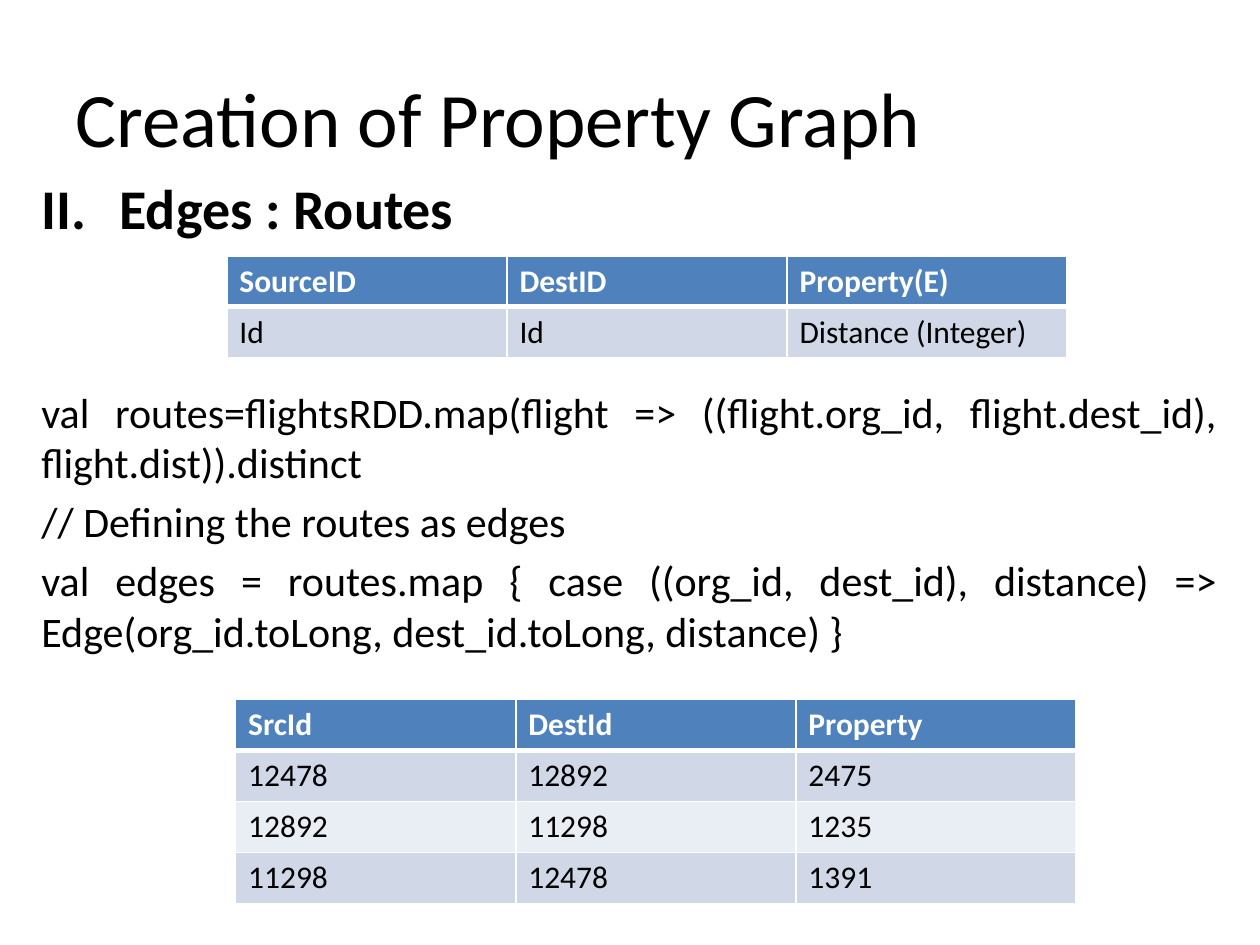
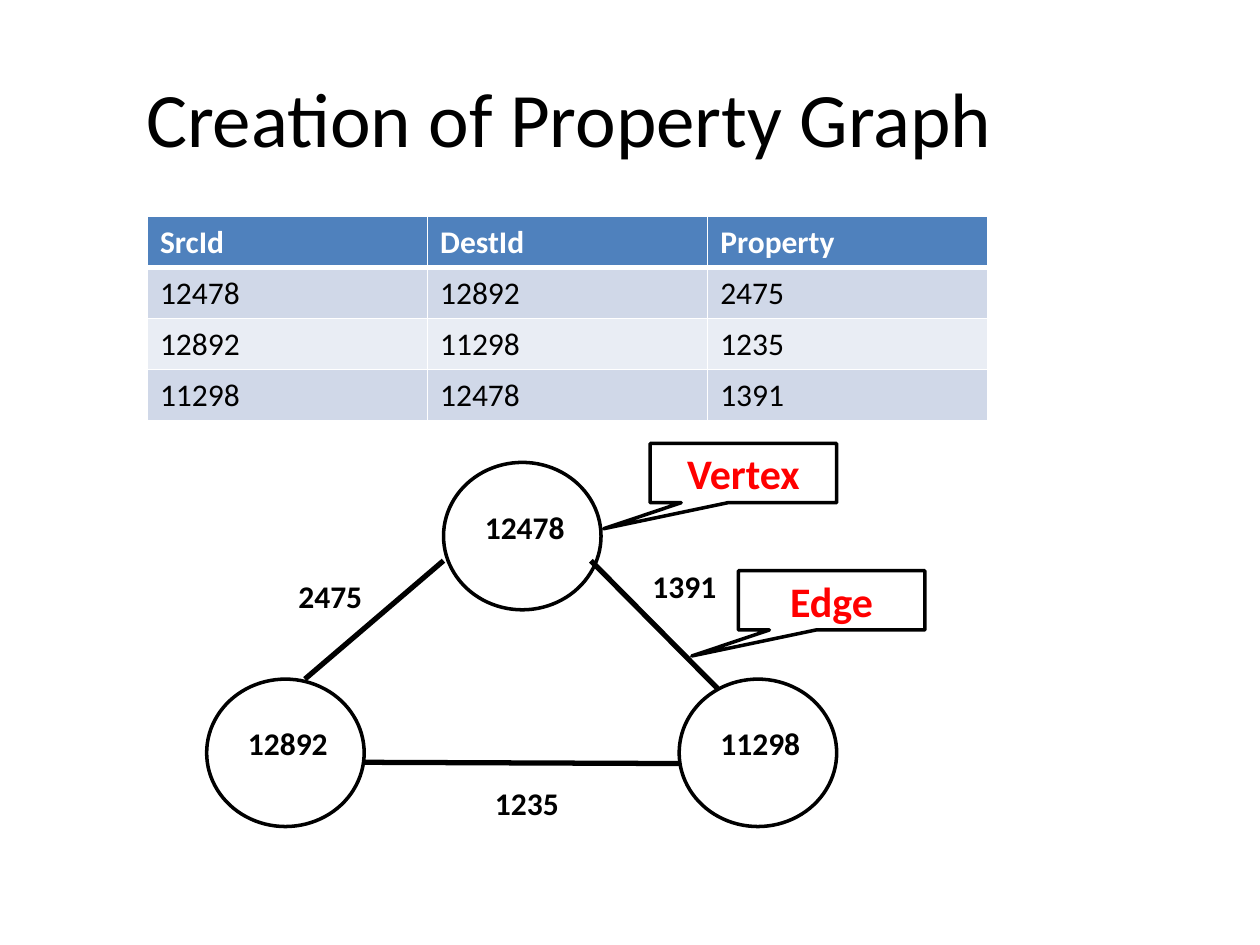
from dataclasses import dataclass

from lxml import etree
from pptx import Presentation
from pptx import util as u
from pptx.dml import color
from pptx.enum import shapes, text
from pptx.oxml import ns

PX = 9144
FONT = "Calibri"
BLACK, WHITE, RED = "000000", "FFFFFF", "FF0000"
HEADER, BAND_DARK, BAND_LIGHT = "4F81BD", "D0D8E8", "E9EDF4"
CIRCLE_WIDTH, CIRCLE_HEIGHT = 125, 117
CALLOUT_WIDTH, CALLOUT_HEIGHT = 148, 47
TABLE_WIDTH = 667

EDGE_SCHEMA = [
    ("SourceID", "DestID", "Property(E)"),
    ("Id", "Id", "Distance (Integer)"),
]
ROUTES = [
    ("SrcId", "DestId", "Property"),
    ("12478", "12892", "2475"),
    ("12892", "11298", "1235"),
    ("11298", "12478", "1391"),
]
CODE = [
    "val routes=flightsRDD.map(flight => ((flight.org_id, flight.dest_id), flight.dist)).distinct",
    "// Defining the routes as edges",
    "val edges = routes.map { case ((org_id, dest_id), distance) => "
    "Edge(org_id.toLong, dest_id.toLong, distance) }",
]


@dataclass(frozen=True)
class Vertex:
    airport: str
    left: int
    top: int


@dataclass(frozen=True)
class Edge:
    distance: str
    start: tuple[int, int]
    end: tuple[int, int]
    label: tuple[int, int]


@dataclass(frozen=True)
class Callout:
    term: str
    left: int
    top: int


VERTICES = [
    Vertex("12478", 352, 367),
    Vertex("12892", 164, 539),
    Vertex("11298", 539, 539),
]
EDGES = [
    Edge("1235", (289, 605), (539, 606), (383, 617)),
    Edge("2475", (242, 539), (352, 445), (227, 453)),
    Edge("1391", (469, 445), (570, 547), (508, 445)),
]
CALLOUTS = [Callout("Vertex", 516, 352), Callout("Edge", 586, 453)]


def px(*lengths: int) -> list[u.Emu]:
    return [u.Emu(length * PX) for length in lengths]


def rgb(value: str) -> color.RGBColor:
    return color.RGBColor.from_string(value)


def set_font(paragraph, size: int, bold: bool = False, ink: str = BLACK) -> None:
    font = paragraph.font
    font.name, font.size, font.bold = FONT, u.Pt(size), bold
    font.color.rgb = rgb(ink)


def outline(line, width: int) -> None:
    line.color.rgb = rgb(BLACK)
    line.width = u.Pt(width)


def add_title(slide, indent: int = 0) -> None:
    frame = slide.shapes.add_textbox(*px(50, 30, 900, 125)).text_frame
    frame.word_wrap = True
    frame.vertical_anchor = text.MSO_ANCHOR.MIDDLE
    frame.margin_left += indent * PX
    frame.text = "Creation of Property Graph"
    set_font(frame.paragraphs[0], 44)


def add_body(slide) -> None:
    frame = slide.shapes.add_textbox(*px(23, 133, 953, 594)).text_frame
    frame.word_wrap = True
    heading = frame.paragraphs[0]
    heading.text = "Edges : Routes"
    set_font(heading, 32, bold=True)
    numbering = heading._p.get_or_add_pPr()
    numbering.set("marL", str(62 * PX))
    numbering.set("indent", str(-62 * PX))
    etree.SubElement(numbering, ns.qn("a:buFont"), typeface=FONT)
    etree.SubElement(numbering, ns.qn("a:buAutoNum"), type="romanUcPeriod", startAt="2")
    numbering.append(numbering.find(ns.qn("a:defRPr")))
    for index, statement in enumerate(CODE):
        paragraph = frame.add_paragraph()
        paragraph.text = statement
        paragraph.alignment = text.PP_ALIGN.JUSTIFY
        paragraph.space_before = u.Pt(5 if index else 83)
        set_font(paragraph, 24)


def set_borders(cell, top: int, bottom: int) -> None:
    properties = cell._tc.get_or_add_tcPr()
    for side, width in (("L", 1), ("R", 1), ("T", top), ("B", bottom)):
        border = etree.SubElement(properties, ns.qn(f"a:ln{side}"), w=str(u.Pt(width)))
        fill = etree.SubElement(border, ns.qn("a:solidFill"))
        etree.SubElement(fill, ns.qn("a:srgbClr"), val=WHITE)


def add_grid(slide, rows: list[tuple[str, ...]], left: int, top: int, height: int) -> None:
    frame = slide.shapes.add_table(
        len(rows), len(rows[0]), *px(left, top, TABLE_WIDTH, height))
    table = frame.table
    table.horz_banding = False
    for row, values in enumerate(rows):
        is_header = row == 0
        fill = HEADER if is_header else BAND_DARK if row % 2 else BAND_LIGHT
        for column, value in enumerate(values):
            cell = table.cell(row, column)
            cell.text = value
            set_font(cell.text_frame.paragraphs[0], 18, is_header,
                     WHITE if is_header else BLACK)
            set_borders(cell, 3 if row == 1 else 1, 3 if is_header else 1)
            cell.fill.solid()
            cell.fill.fore_color.rgb = rgb(fill)


def add_label(slide, caption: str, left: int, top: int, width: int) -> None:
    frame = slide.shapes.add_textbox(*px(left, top, width, 40)).text_frame
    frame.word_wrap = False
    frame.auto_size = text.MSO_AUTO_SIZE.SHAPE_TO_FIT_TEXT
    frame.text = caption
    set_font(frame.paragraphs[0], 18, bold=True)


def add_circle(slide, vertex: Vertex) -> None:
    circle = slide.shapes.add_shape(
        shapes.MSO_SHAPE.OVAL,
        *px(vertex.left, vertex.top, CIRCLE_WIDTH, CIRCLE_HEIGHT))
    circle.shadow.inherit = False
    circle.fill.solid()
    circle.fill.fore_color.rgb = rgb(WHITE)
    outline(circle.line, 2)


def add_edge(slide, edge: Edge) -> None:
    link = slide.shapes.add_connector(
        shapes.MSO_CONNECTOR.STRAIGHT, *px(*edge.start, *edge.end))
    outline(link.line, 3)
    etree.SubElement(link._element.spPr, ns.qn("a:effectLst"))


def add_callout(slide, callout: Callout) -> None:
    balloon = slide.shapes.add_shape(
        shapes.MSO_SHAPE.RECTANGULAR_CALLOUT,
        *px(callout.left, callout.top, CALLOUT_WIDTH, CALLOUT_HEIGHT))
    balloon.adjustments[0], balloon.adjustments[1] = -0.75, 0.94
    balloon.shadow.inherit = False
    balloon.fill.background()
    outline(balloon.line, 2)
    frame = balloon.text_frame
    frame.vertical_anchor = text.MSO_ANCHOR.MIDDLE
    frame.text = callout.term
    frame.paragraphs[0].alignment = text.PP_ALIGN.CENTER
    set_font(frame.paragraphs[0], 24, bold=True, ink=RED)


def add_graph(slide) -> None:
    for vertex in VERTICES:
        add_circle(slide, vertex)
    for edge in EDGES:
        add_edge(slide, edge)
    for vertex in VERTICES:
        add_label(slide, vertex.airport, vertex.left + 23, vertex.top + 31, 84)
    for edge in EDGES:
        add_label(slide, edge.distance, *edge.label, 71)
    for callout in CALLOUTS:
        add_callout(slide, callout)


def main() -> None:
    deck = Presentation()
    deck.slide_width, deck.slide_height = px(1000, 750)
    blank = deck.slide_layouts[6]

    definition = deck.slides.add_slide(blank)
    add_title(definition)
    add_body(definition)
    add_grid(definition, EDGE_SCHEMA, 180, 203, 81)
    add_grid(definition, ROUTES, 187, 555, 162)

    drawing = deck.slides.add_slide(blank)
    add_title(drawing, indent=56)
    add_grid(drawing, ROUTES, 117, 172, 162)
    add_graph(drawing)

    deck.save("out.pptx")


if __name__ == "__main__":
    main()
